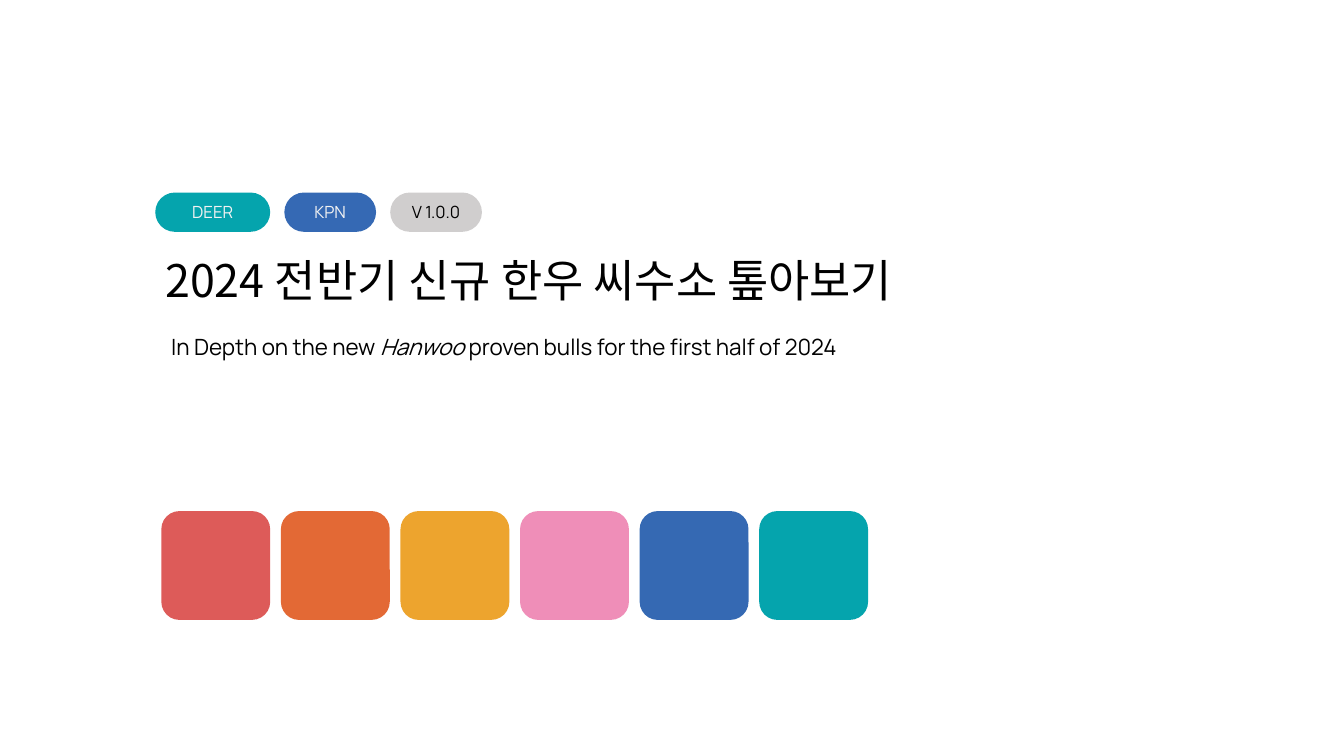
from lxml import etree
from pptx import Presentation
from pptx.dml.color import RGBColor
from pptx.enum.shapes import MSO_SHAPE
from pptx.enum.text import MSO_ANCHOR, PP_ALIGN
from pptx.oxml.ns import qn
from pptx.util import Inches, Pt

ROUND = MSO_SHAPE.ROUNDED_RECTANGLE
MIDDLE, BOTTOM = MSO_ANCHOR.MIDDLE, MSO_ANCHOR.BOTTOM
LEFT, CENTER = PP_ALIGN.LEFT, PP_ALIGN.CENTER

TEAL = RGBColor(0x05, 0xA4, 0xAD)
NAVY = RGBColor(0x35, 0x69, 0xB4)
BLUE = RGBColor(0x35, 0x69, 0xB3)
GRAY = RGBColor(0xD0, 0xCE, 0xCE)
RED = RGBColor(0xDD, 0x5B, 0x59)
ORANGE = RGBColor(0xE3, 0x69, 0x35)
AMBER = RGBColor(0xED, 0xA4, 0x2E)
PINK = RGBColor(0xEF, 0x8E, 0xB8)
PALE = RGBColor(0xF2, 0xF2, 0xF2)
BLACK = RGBColor(0, 0, 0)
LATIN, KOREAN = "Manrope", "Noto Sans CJK KR"


def write(shape, *parts, size=12, face=LATIN, color=BLACK, align=LEFT,
          anchor=MIDDLE, space=1.0, slant=None):
    frame = shape.text_frame
    frame.word_wrap = True
    frame.vertical_anchor = anchor
    para = frame.paragraphs[0]
    para.alignment = align
    para.line_spacing = space
    for part in parts:
        run = para.add_run()
        run.text = part
        font = run.font
        font.size = Pt(size)
        font.name = face
        font.color.rgb = color
        font.italic = part == slant
        east = etree.SubElement(run._r.get_or_add_rPr(), qn("a:ea"))
        east.set("typeface", face)


def block(left, top, width, height, fill):
    shape = slide.shapes.add_shape(
        ROUND, Inches(left), Inches(top), Inches(width), Inches(height))
    shape.shadow.inherit = False
    shape.fill.solid()
    shape.fill.fore_color.rgb = fill
    shape.line.fill.background()
    return shape


deck = Presentation()
deck.slide_width, deck.slide_height = Inches(13.33), Inches(7.5)
slide = deck.slides.add_slide(deck.slide_layouts[6])

title = slide.shapes.add_textbox(
    Inches(1.54), Inches(1.62), Inches(10.13), Inches(1.47))
write(title, "2024 전반기 신규 한우 씨수소 톺아보기", size=32, face=KOREAN,
      anchor=BOTTOM, space=1.2)

lead = slide.shapes.add_textbox(
    Inches(1.6), Inches(3.08), Inches(10.13), Inches(0.54))
write(lead, "In Depth on the new ", "Hanwoo",
      " proven bulls for the first half of 2024", size=16,
      anchor=BOTTOM, space=0.9, slant="Hanwoo")

left, gap = 1.54, 0.14
for label, width, fill, color in (
        ("DEER", 1.14, TEAL, PALE),
        ("KPN", 0.91, NAVY, PALE),
        ("V 1.0.0", 0.91, GRAY, BLACK)):
    pill = block(left, 1.91, width, 0.39, fill)
    pill.adjustments[0] = 0.5
    write(pill, label, color=color, align=CENTER)
    left += width + gap

side, pitch = 1.08, 1.186
for col, fill in enumerate((RED, ORANGE, AMBER, PINK, BLUE, TEAL)):
    block(1.6 + col * pitch, 5.07, side, side, fill)

deck.save("out.pptx")
